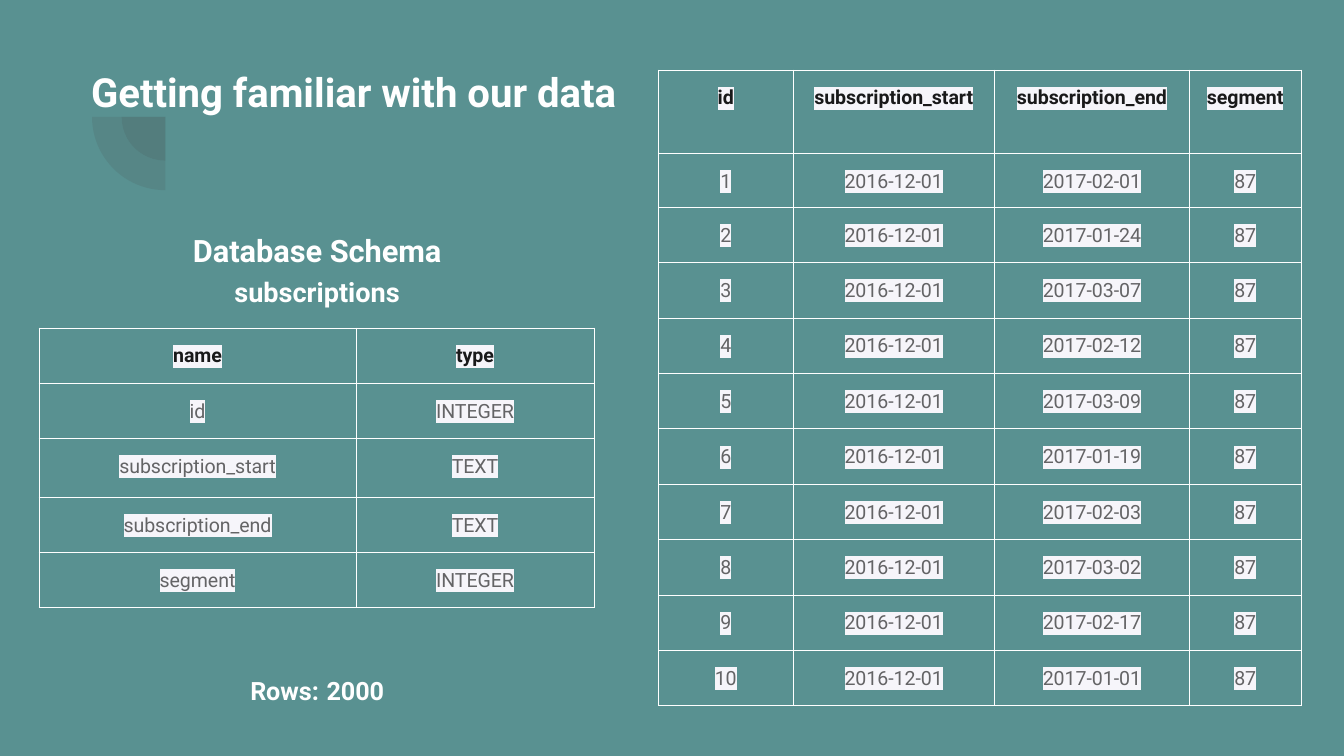
from lxml import etree
from pptx import Presentation
from pptx import util as u
from pptx.dml import color
from pptx.enum import shapes, text
from pptx.oxml import ns

TITLE = [[("Getting familiar with our data", 21.5)]]
SCHEMA_HEADING = [[("Database Schema", 16.5)], [("subscriptions", 14.5)]]
ROW_COUNT = [[("Rows:", 13.5), (" ", 16.5), ("2000", 13.5)]]

SCHEMA = [
    ("name", "type"),
    ("id", "INTEGER"),
    ("subscription_start", "TEXT"),
    ("subscription_end", "TEXT"),
    ("segment", "INTEGER"),
]
START, SEGMENT = "2016-12-01", "87"
END_DATES = [
    "2017-02-01", "2017-01-24", "2017-03-07", "2017-02-12", "2017-03-09",
    "2017-01-19", "2017-02-03", "2017-03-02", "2017-02-17", "2017-01-01",
]
SUBSCRIPTIONS = [("id", "subscription_start", "subscription_end", "segment")] + [
    (str(number), START, end, SEGMENT) for number, end in enumerate(END_DATES, 1)
]

THEME = {
    "font": "Roboto",
    "background": "599191",
    "white": "FFFFFF",
    "header": "19191A",
    "body": "646466",
    "highlight": "F6F5FA",
    "arc": "424242",
    "arc_alpha": 13,
    "cell_alpha": 0,
    "cell_size": 10.5,
    "border": 0.48,
}
INSET = u.Inches(0.1)
LEFT, COLUMN_WIDTH = 0.29, 4.14
ARC_CENTER = (1.23, 0.87)
ARC_DIAMETERS = (0.65, 1.09)


def rgb(name):
    return color.RGBColor.from_string(THEME[name])


def add_color(parent, tag, name):
    holder = etree.SubElement(parent, ns.qn(tag))
    etree.SubElement(holder, ns.qn("a:srgbClr"), val=THEME[name])


def fill_clear(fill, name, percent):
    fill.solid()
    fill.fore_color.rgb = rgb(name)
    shade = fill._xPr.find(ns.qn("a:solidFill")).find(ns.qn("a:srgbClr"))
    etree.SubElement(shade, ns.qn("a:alpha"), val=str(percent * 1000))


def style_font(font, size, shade, bold):
    font.name = THEME["font"]
    font.size = u.Pt(size)
    font.bold = bold
    font.color.rgb = rgb(shade)


def add_arc(page, diameter):
    left, top = (center - diameter / 2 for center in ARC_CENTER)
    arc = page.shapes.add_shape(
        shapes.MSO_SHAPE.PIE, u.Inches(left), u.Inches(top), u.Inches(diameter), u.Inches(diameter)
    )
    arc.adjustments[0], arc.adjustments[1] = 108, 162
    arc.rotation = 270
    arc.shadow.inherit = False
    arc.line.fill.background()
    fill_clear(arc.fill, "arc", THEME["arc_alpha"])


def add_text(page, lines, left, top, height, align, spacing=1.2, before=0):
    box = page.shapes.add_textbox(
        u.Inches(left), u.Inches(top), u.Inches(COLUMN_WIDTH), u.Inches(height)
    )
    frame = box.text_frame
    frame.word_wrap = True
    frame.margin_left = frame.margin_right = frame.margin_top = frame.margin_bottom = INSET
    for index, line in enumerate(lines):
        para = frame.add_paragraph() if index else frame.paragraphs[0]
        para.alignment = align
        para.line_spacing = spacing
        para.space_before = u.Pt(before)
        style_font(para.font, line[0][1], "white", True)
        for words, size in line:
            span = para.add_run()
            span.text = words
            span.font.size = u.Pt(size)


def fill_cell(cell, words, header, before):
    fill_clear(cell.fill, "highlight", THEME["cell_alpha"])
    cell.margin_left = cell.margin_right = cell.margin_top = cell.margin_bottom = INSET
    para = cell.text_frame.paragraphs[0]
    para.alignment = text.PP_ALIGN.CENTER
    para.line_spacing = 1.15
    para.space_before = u.Pt(before)
    style_font(para.font, THEME["cell_size"], "header" if header else "body", header)
    span = para.add_run()
    span.text = words
    span.font.size = u.Pt(THEME["cell_size"])
    add_color(span.font._element, "a:highlight", "highlight")

    properties = cell._tc.get_or_add_tcPr()
    for index, side in enumerate(("a:lnL", "a:lnR", "a:lnT", "a:lnB")):
        line = etree.Element(ns.qn(side), w=str(u.Pt(THEME["border"])))
        add_color(line, "a:solidFill", "white")
        properties.insert(index, line)


def add_grid(page, rows, left, top, widths, heights, before=0):
    frame = page.shapes.add_table(
        len(rows), len(widths), u.Inches(left), u.Inches(top),
        u.Inches(sum(widths)), u.Inches(sum(heights)),
    )
    table = frame.table
    table.first_row = table.horz_banding = False
    for column, width in zip(table.columns, widths):
        column.width = u.Inches(width)
    for row, height in zip(table.rows, heights):
        row.height = u.Inches(height)
    for row_index, row in enumerate(rows):
        for column_index, words in enumerate(row):
            fill_cell(table.cell(row_index, column_index), words, row_index == 0, before)


def main():
    deck = Presentation()
    deck.slide_width = u.Inches(10)
    deck.slide_height = deck.slide_width * 9 // 16
    page = deck.slides.add_slide(deck.slide_layouts[6])
    page.background.fill.solid()
    page.background.fill.fore_color.rgb = rgb("background")

    for diameter in ARC_DIAMETERS:
        add_arc(page, diameter)
    center = text.PP_ALIGN.CENTER
    add_grid(page, SCHEMA, LEFT, 2.44, [2.36, 1.77], [0.41, 0.41, 0.44, 0.41, 0.41], before=4)
    add_text(page, ROW_COUNT, LEFT, 4.84, 0.48, center, spacing=1.15, before=4)
    add_grid(page, SUBSCRIPTIONS, 4.9, 0.52, [1, 1.5, 1.45, 0.83], [0.62, 0.15] + [3.71 / 9] * 9)
    add_text(page, SCHEMA_HEADING, LEFT, 1.57, 0.78, center)
    add_text(page, TITLE, 0.58, 0.33, 0.82, text.PP_ALIGN.LEFT)
    deck.save("out.pptx")


if __name__ == "__main__":
    main()
